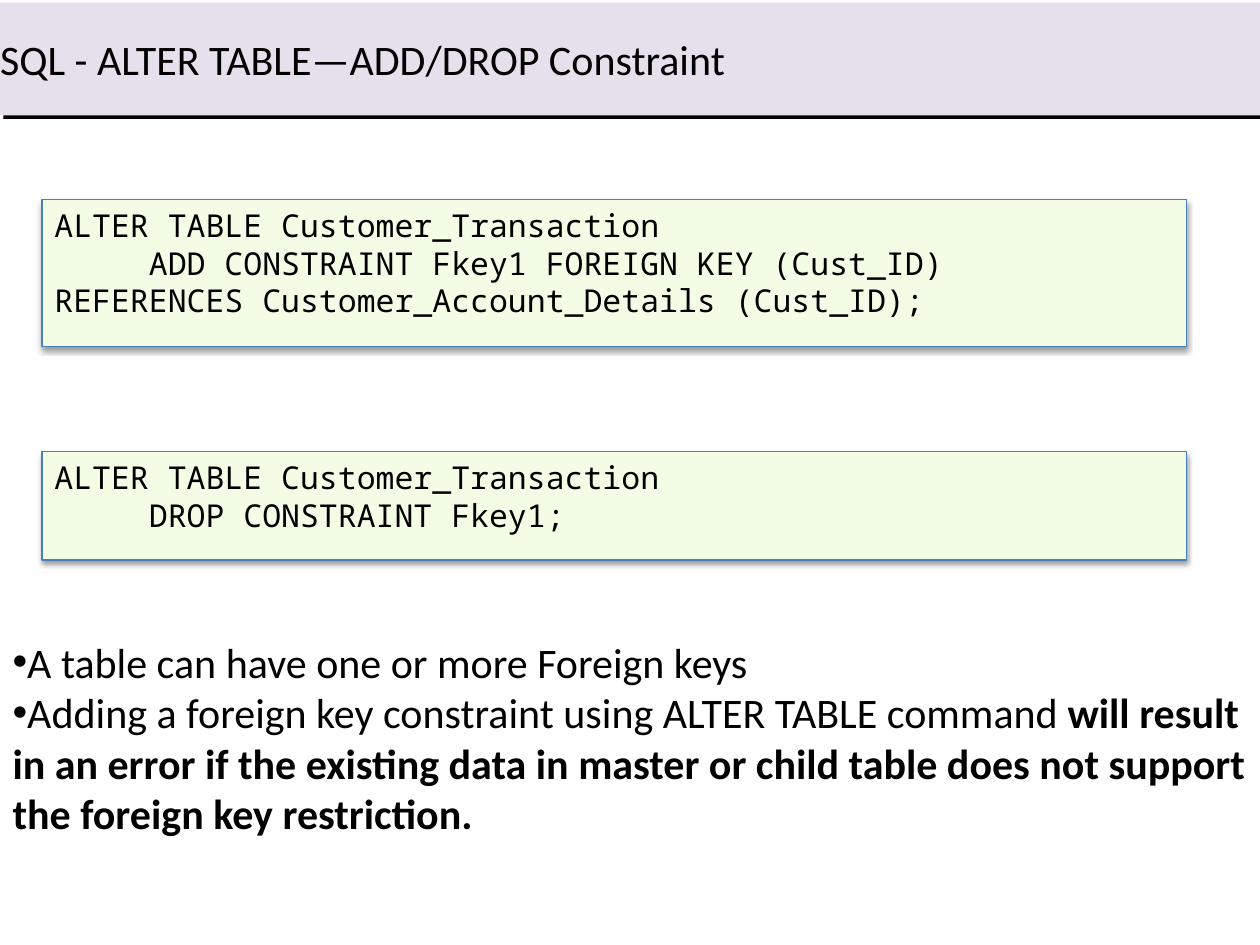
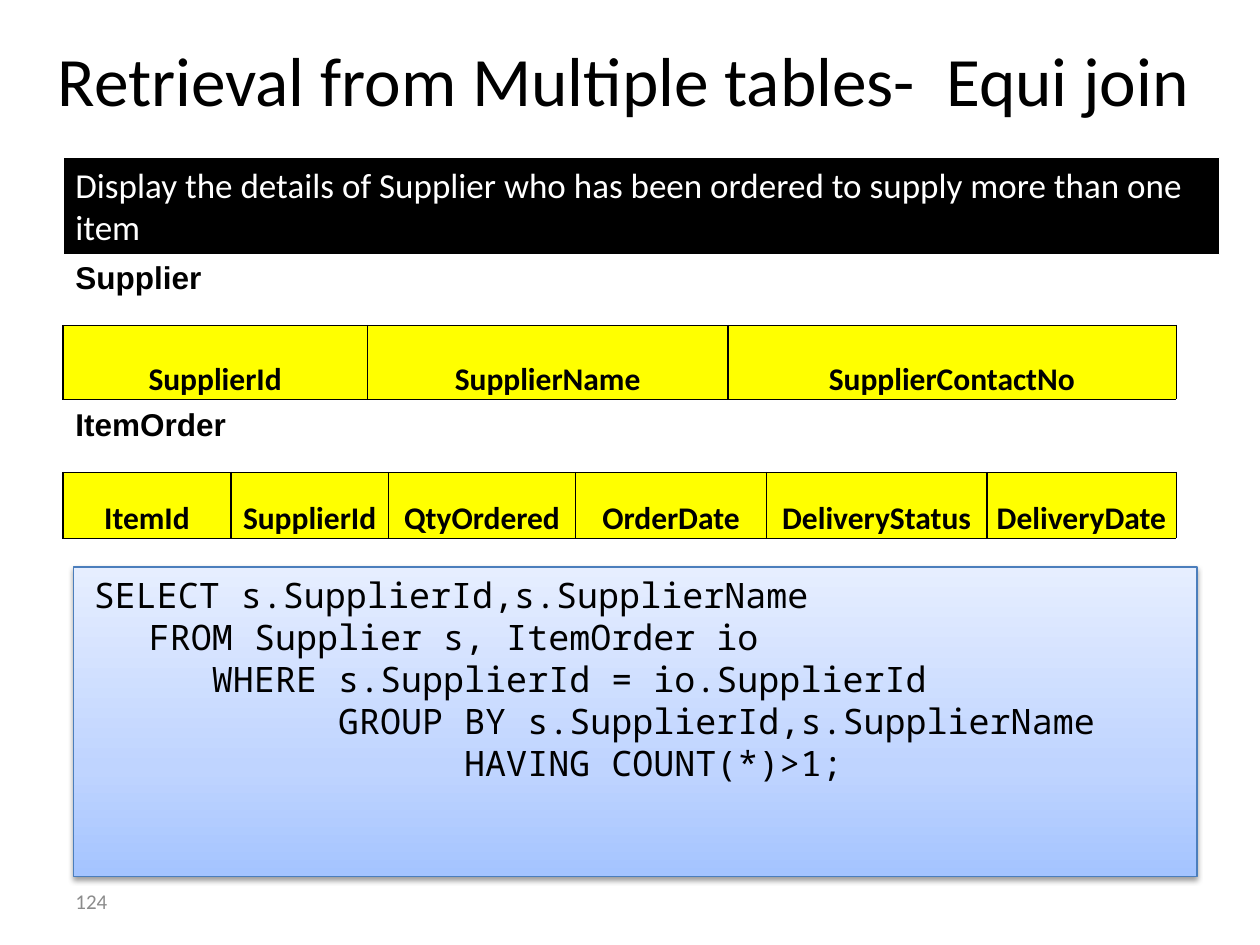
from dataclasses import dataclass

from lxml import etree
from pptx import Presentation
from pptx.dml.color import RGBColor
from pptx.enum.shapes import MSO_SHAPE
from pptx.enum.text import MSO_ANCHOR, MSO_AUTO_SIZE, PP_ALIGN
from pptx.oxml.ns import qn
from pptx.util import Pt

RECTANGLE = MSO_SHAPE.RECTANGLE
TOP, MIDDLE, BOTTOM = MSO_ANCHOR.TOP, MSO_ANCHOR.MIDDLE, MSO_ANCHOR.BOTTOM
LEFT, CENTER = PP_ALIGN.LEFT, PP_ALIGN.CENTER
FIXED_SIZE = MSO_AUTO_SIZE.NONE
TITLE_AND_CONTENT, TITLE_ONLY = 1, 5


@dataclass(frozen=True)
class Theme:
    body_font: str = "Calibri"
    label_font: str = "Arial"
    code_font: str = "Noto Sans Mono"
    ink: str = "000000"
    paper: str = "FFFFFF"
    muted: str = "8C8C8C"
    band: str = "E6E0EC"
    code_fill: str = "F3FCE4"
    code_line: str = "4B7EBC"
    code_gradient: tuple = ((0, "A4C4FF"), (35, "BFD4FF"), (100, "E6EEFF"))
    column_fill: str = "FFFF00"
    title_size: float = 39.6
    text_size: float = 24
    query_size: float = 20
    small_size: float = 18
    number_size: float = 12


THEME = Theme()


def add_xml(parent, tag, **attributes):
    child = etree.SubElement(parent, qn(tag))
    for name, value in attributes.items():
        child.set(name, str(value))
    return child


def place(shape, box):
    shape.left, shape.top, shape.width, shape.height = map(Pt, box)


def format_text(frame, size, font=THEME.body_font, color=THEME.ink, bold=False, align=LEFT):
    for paragraph in frame.paragraphs:
        paragraph.alignment = align
        for run in paragraph.runs:
            run.font.size = Pt(size)
            run.font.name = font
            run.font.bold = bold
            run.font.color.rgb = RGBColor.from_string(color)


def set_frame(frame, anchor=TOP, left=7.2, right=7.2):
    frame.word_wrap = True
    frame.auto_size = FIXED_SIZE
    frame.vertical_anchor = anchor
    frame.margin_left, frame.margin_right = Pt(left), Pt(right)
    frame.margin_top = frame.margin_bottom = Pt(3.6)


def set_fill(part, color):
    part.fill.solid()
    part.fill.fore_color.rgb = RGBColor.from_string(color)


def set_gradient(shape, stops, angle):
    shape.fill.gradient()
    shape.fill.gradient_angle = angle
    stop_list = shape.element.spPr.find(".//" + qn("a:gsLst"))
    for old_stop in list(stop_list):
        stop_list.remove(old_stop)
    for position, color in stops:
        stop = add_xml(stop_list, "a:gs", pos=position * 1000)
        add_xml(stop, "a:srgbClr", val=color)


def set_shadow(shape, opacity, blur, distance, direction):
    shape.shadow.inherit = False
    effects = shape.element.spPr.find(qn("a:effectLst"))
    shadow = add_xml(effects, "a:outerShdw", blurRad=int(Pt(blur)), dist=int(Pt(distance)),
                     dir=direction * 60000, algn="tl", rotWithShape=0)
    color = add_xml(shadow, "a:srgbClr", val=THEME.ink)
    add_xml(color, "a:alpha", val=opacity * 1000)


def add_title(slide, text, box, size, align, left_inset=0):
    title = slide.shapes.title
    place(title, box)
    title.text_frame.text = text
    set_frame(title.text_frame, MIDDLE, left=left_inset)
    format_text(title.text_frame, size, align=align)
    return title


def add_text(slide, text, box, size, anchor=TOP, **style):
    frame = slide.shapes.add_textbox(*map(Pt, box)).text_frame
    frame.text = text
    set_frame(frame, anchor)
    format_text(frame, size, **style)


def add_panel(slide, text, box, line, size, **style):
    panel = slide.shapes.add_shape(RECTANGLE, *map(Pt, box))
    panel.shadow.inherit = False
    panel.line.color.rgb = RGBColor.from_string(line)
    panel.line.width = Pt(0.75)
    panel.text_frame.text = text
    set_frame(panel.text_frame)
    format_text(panel.text_frame, size, **style)
    return panel


def add_code(slide, lines, box, size):
    code = add_panel(slide, "\n".join(lines), box, THEME.code_line, size, font=THEME.code_font)
    set_shadow(code, 38, 3.1, 1.6, 90)
    return code


def add_bullets(slide, items, box):
    body = slide.placeholders[1]
    place(body, box)
    frame = body.text_frame
    set_frame(frame)
    for index, (plain, strong) in enumerate(items):
        paragraph = frame.paragraphs[0] if index == 0 else frame.add_paragraph()
        properties = paragraph._p.get_or_add_pPr()
        properties.set("marL", "0")
        properties.set("indent", "0")
        add_xml(properties, "a:buFont", typeface=THEME.label_font)
        add_xml(properties, "a:buChar", char="•")
        paragraph.space_before = Pt(0)
        paragraph.add_run().text = plain
        if strong:
            paragraph.add_run().text = strong
    format_text(frame, THEME.text_size)
    for paragraph in frame.paragraphs:
        for strong_run in paragraph.runs[1:]:
            strong_run.font.bold = True


def set_borders(cell, widths):
    properties = cell._tc.get_or_add_tcPr()
    for side, width in widths.items():
        border = add_xml(properties, "a:ln" + side, w=int(Pt(width)))
        fill = add_xml(border, "a:solidFill")
        add_xml(fill, "a:srgbClr", val=THEME.ink)


def add_relation(slide, columns, top, height):
    widths = columns.values()
    relation = slide.shapes.add_table(1, len(columns), Pt(36), Pt(top), Pt(sum(widths)), Pt(height)).table
    relation.rows[0].height = Pt(height)
    for index, (name, width) in enumerate(columns.items()):
        relation.columns[index].width = Pt(width)
        cell = relation.cell(0, index)
        is_last = index == len(columns) - 1
        set_borders(cell, {"L": 1, "R": 0.5 if is_last else 1, "T": 1, "B": 0.5})
        set_fill(cell, THEME.column_fill)
        cell.vertical_anchor = BOTTOM
        cell.margin_left = cell.margin_right = cell.margin_top = Pt(0.75)
        cell.margin_bottom = Pt(0)
        cell.text_frame.text = name
        format_text(cell.text_frame, THEME.small_size, bold=True, align=CENTER)


def build_constraint_slide(deck):
    slide = deck.slides.add_slide(deck.slide_layouts[TITLE_AND_CONTENT])
    title = add_title(slide, "SQL - ALTER TABLE—ADD/DROP Constraint", (0, 1.5, 720, 64.5),
                      THEME.text_size, LEFT)
    set_fill(title, THEME.band)
    set_shadow(title, 100, 0, 2.8, 45)

    alter_table = "ALTER TABLE Customer_Transaction"
    add_constraint = [alter_table,
                      "     ADD CONSTRAINT Fkey1 FOREIGN KEY (Cust_ID)",
                      "REFERENCES Customer_Account_Details (Cust_ID);"]
    drop_constraint = [alter_table, "     DROP CONSTRAINT Fkey1;"]
    for lines, top, height in ((add_constraint, 114, 84), (drop_constraint, 258, 62)):
        code = add_code(slide, lines, (24, top, 654, height), THEME.small_size)
        set_fill(code, THEME.code_fill)

    add_bullets(slide, [
        ("A table can have one or more Foreign keys", ""),
        ("Adding a foreign key constraint using ALTER TABLE command ",
         "will result in an error if the existing data in master or child table "
         "does not support the foreign key restriction."),
    ], (0, 360, 720, 124))


def build_join_slide(deck):
    slide = deck.slides.add_slide(deck.slide_layouts[TITLE_ONLY])
    add_title(slide, "Retrieval from Multiple tables-  Equi join", (18, 24, 675, 42),
              THEME.title_size, CENTER, left_inset=9)
    task = add_panel(slide,
                     "Display the details of Supplier who has been ordered to supply more than one item",
                     (36, 90, 661, 55.5), THEME.paper, THEME.query_size, color=THEME.paper)
    set_fill(task, THEME.ink)

    for name, top in (("Supplier", 144), ("ItemOrder", 228)):
        add_text(slide, name, (36, top, 132, 29), THEME.small_size, font=THEME.label_font, bold=True)
    add_relation(slide, {"SupplierId": 174, "SupplierName": 206, "SupplierContactNo": 256}, 186, 42)
    add_relation(slide, {"ItemId": 96, "SupplierId": 90, "QtyOrdered": 107, "OrderDate": 109,
                         "DeliveryStatus": 126, "DeliveryDate": 108}, 270, 37.5)

    query = add_code(slide, [
        "SELECT s.SupplierId,s.SupplierName",
        "   FROM Supplier s, ItemOrder io",
        "      WHERE s.SupplierId = io.SupplierId",
        "            GROUP BY s.SupplierId,s.SupplierName",
        "                  HAVING COUNT(*)>1;",
    ], (42, 324, 642, 177), THEME.query_size)
    set_gradient(query, THEME.code_gradient, 90)
    select_line = query.text_frame.paragraphs[0]
    select_line._p.get_or_add_pPr().set("marL", str(int(Pt(4.5))))

    add_text(slide, "124", (36, 500.5, 168, 29), THEME.number_size, MIDDLE, color=THEME.muted)


def main():
    deck = Presentation()
    deck.slide_width, deck.slide_height = Pt(720), Pt(540)
    build_constraint_slide(deck)
    build_join_slide(deck)
    deck.save("out.pptx")


if __name__ == "__main__":
    main()
